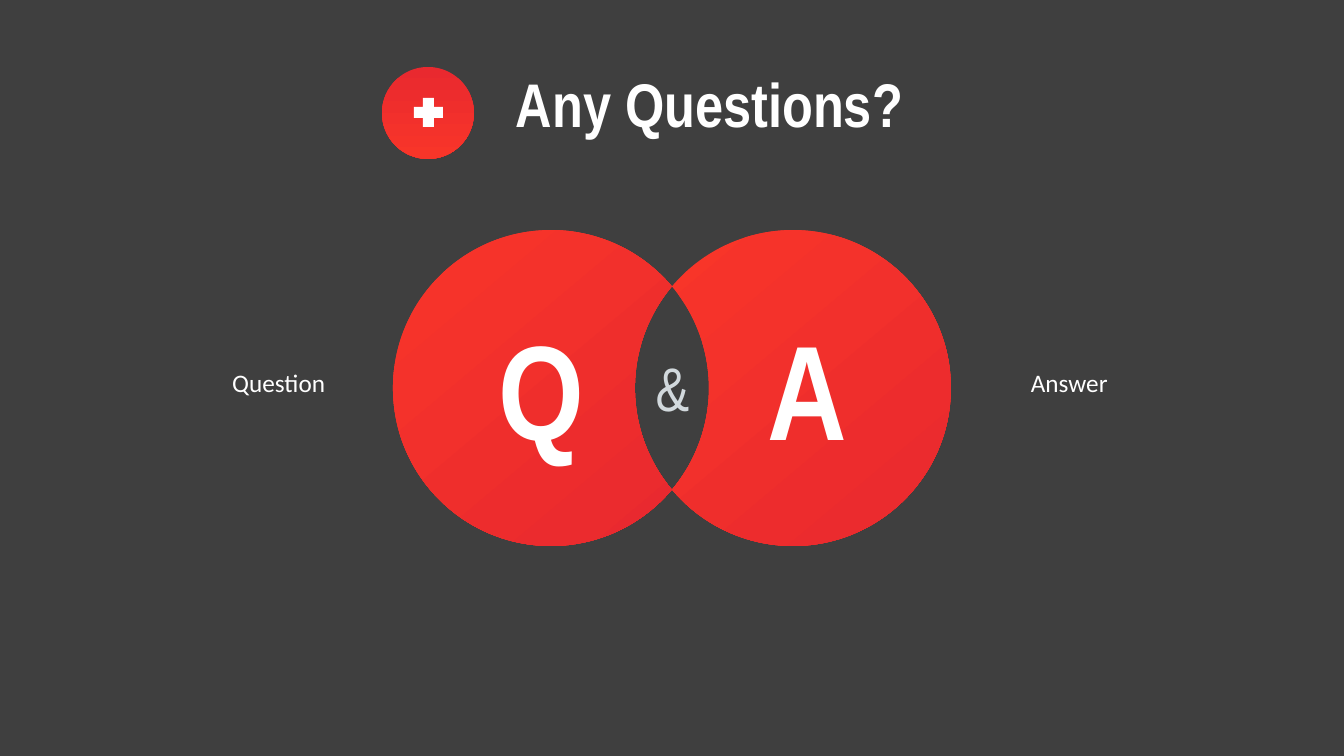
from itertools import pairwise
from math import acos, cos, pi, sin, tan
from lxml.etree import Element
from pptx import Presentation
from pptx.dml.color import RGBColor
from pptx.enum.shapes import MSO_SHAPE as Shape
from pptx.enum.text import MSO_ANCHOR as Anchor, MSO_AUTO_SIZE as Fit, PP_ALIGN as Align
from pptx.oxml.ns import qn
from pptx.util import Pt

PX = 914400 / 100.8
WHITE, ORANGE, RED = "FFFFFF", "F83529", "E9292F"
rgb = RGBColor.from_string


def px(*values):
    return [round(v * PX) for v in values]


def blend(shape, first, last, angle):
    shape.shadow.inherit = False
    shape.line.fill.background()
    fill = shape.fill
    fill.gradient()
    fill.gradient_angle = 360 - angle
    for stop, color in zip(fill.gradient_stops, (first, last)):
        stop.color.rgb = rgb(color)


# Slide
deck = Presentation()
deck.slide_width, deck.slide_height = px(1344, 756)
slide = deck.slides.add_slide(deck.slide_layouts[6])
slide.background.fill.solid()
slide.background.fill.fore_color.rgb = rgb("3F3F3F")

# Two circles with their overlap cut out, each an outer and an inner arc
MID_X, MID_Y, RADIUS, SHIFT = 672, 388, 158, 121
half = acos(SHIFT / RADIUS)
arcs = [(1, (half, pi / 2, pi, 3 * pi / 2, 2 * pi - half)), (-1, (-half, 0, half))]
for side in (-1, 1):
    curves = []
    for flip, turns in arcs:
        way = side * flip
        for start, end in pairwise(turns):
            pull = 4 / 3 * tan((end - start) / 4)
            curve = []
            for turn, bend in ((start, 0), (start, pull), (end, -pull), (end, 0)):
                curve.append(px(
                    MID_X + way * (SHIFT - RADIUS * cos(turn) + bend * RADIUS * sin(turn)),
                    MID_Y + RADIUS * (sin(turn) + bend * cos(turn))))
            curves.append(curve)
    outline = slide.shapes.build_freeform(*curves[0][0])
    outline.add_line_segments([curve[3] for curve in curves], close=True)
    moon = outline.convert_to_shape()
    blend(moon, ORANGE, RED, 50)
    # Bend the straight segments into arcs
    edges = list(moon._element.iter(qn("a:lnTo")))
    for edge, curve in zip(edges, curves):
        edge.tag = qn("a:cubicBezTo")
        for spot, (x, y) in enumerate(curve[1:3]):
            edge.insert(spot, Element(qn("a:pt"), x=str(x - moon.left), y=str(y - moon.top)))

# Texts: words, box, size, font, color, bold, alignment
NARROW, PLAIN = "Arial Narrow", "Calibri"
texts = [
    ("Q", (471, 301, 141, 173), 96, NARROW, WHITE, True, Align.CENTER),
    ("A", (737, 301, 141, 173), 96, NARROW, WHITE, True, Align.CENTER),
    ("&", (602, 345, 141, 85), 44, NARROW, "D2D9DD", False, Align.CENTER),
    ("Question", (200, 362, 135, 40), 18, PLAIN, WHITE, False, Align.RIGHT),
    ("Answer", (1021, 362, 123, 40), 18, PLAIN, WHITE, False, Align.LEFT),
    ("Any Questions?", (506, 60, 513, 85), 44, NARROW, WHITE, True, Align.LEFT),
]
for words, area, size, face, color, bold, align in texts:
    frame = slide.shapes.add_textbox(*px(*area)).text_frame
    frame.text = words
    frame.word_wrap = True
    frame.auto_size = Fit.SHAPE_TO_FIT_TEXT
    line = frame.paragraphs[0]
    line.alignment = align
    font = line.runs[0].font
    font.name, font.size, font.bold = face, Pt(size), bold
    font.color.rgb = rgb(color)

# The title, last in the list, sits mid-height in a fixed box
frame.auto_size = Fit.NONE
frame.vertical_anchor = Anchor.MIDDLE

# Plus badge beside the title
badge = slide.shapes.add_group_shape().shapes
disc = badge.add_shape(Shape.OVAL, *px(382, 67, 92, 92))
blend(disc, RED, ORANGE, 90)
plus = badge.add_shape(Shape.CROSS, *px(414, 98, 29, 29))
plus.adjustments[0] = 0.31
plus.shadow.inherit = False
plus.line.fill.background()
plus.fill.solid()
plus.fill.fore_color.rgb = rgb(WHITE)

deck.save("out.pptx")
